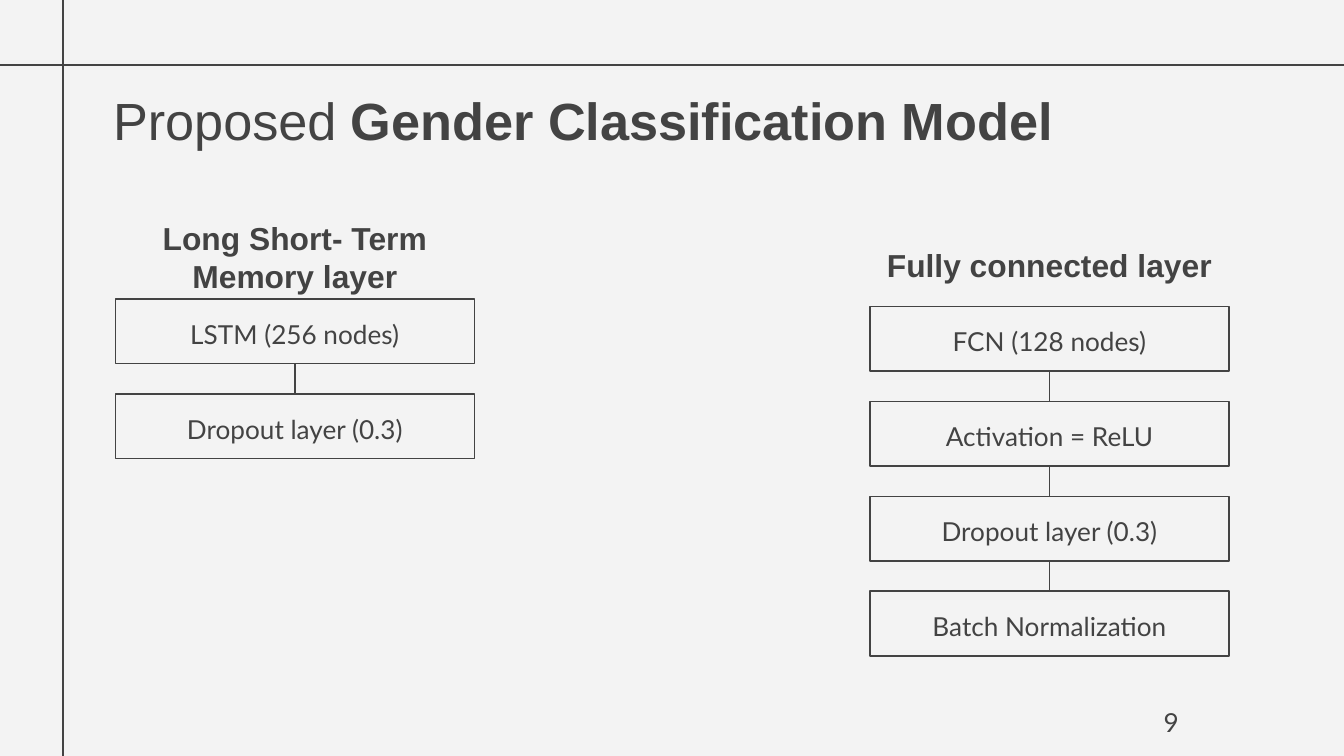
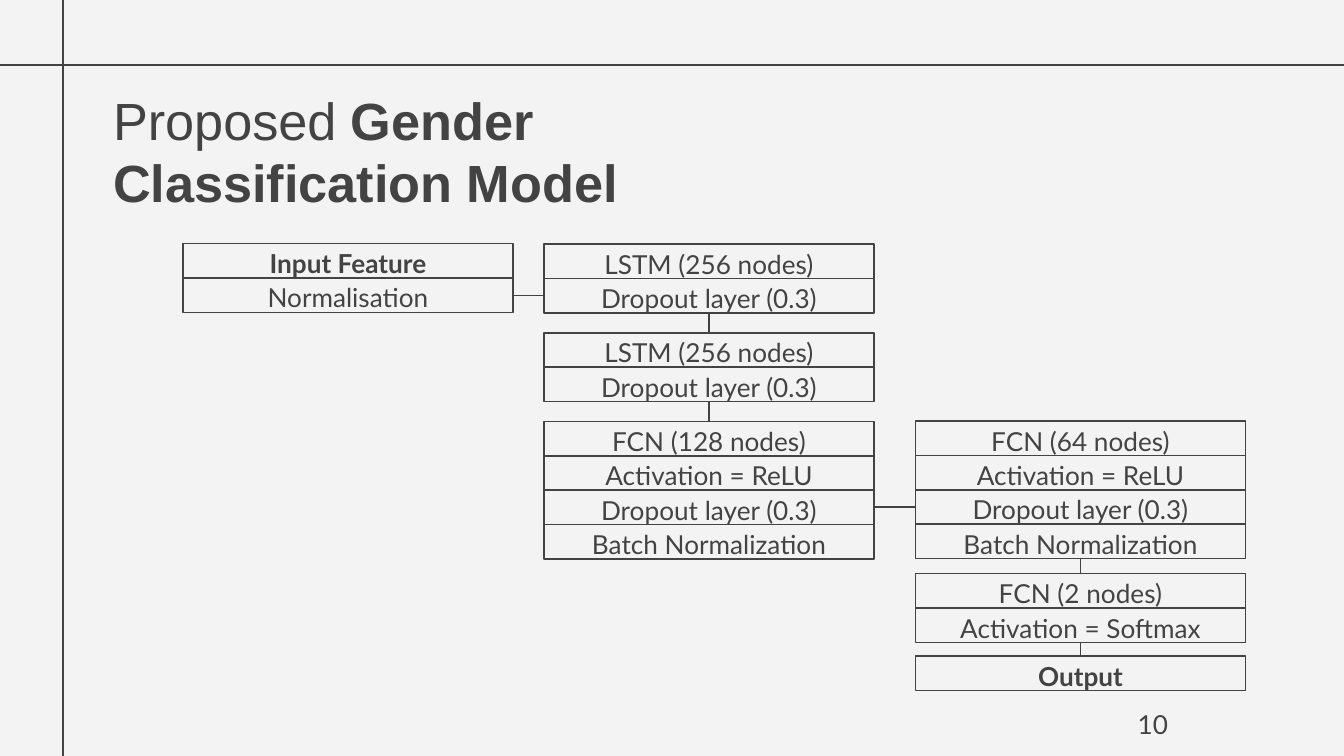
import pptx
import pptx.util
import pptx.dml.color
import pptx.enum.shapes
import pptx.enum.text
import lxml.etree

Pt = pptx.util.Pt
ALIGN = pptx.enum.text.PP_ALIGN
ANCHOR = pptx.enum.text.MSO_ANCHOR
DRAW = "http://schemas.openxmlformats.org/drawingml/2006/main"

COLORS = {"ink": "434343", "wire": "424242", "paper": "F3F3F3"}
STRONG = {"Input Feature", "Output"}


def paint(name):
    return pptx.dml.color.RGBColor.from_string(COLORS[name])


class Deck:
    head = "Arial"
    body = "Lato"
    inset = 7.2
    stroke = 0.75

    def __init__(self, width, height):
        self.deck = pptx.Presentation()
        self.deck.slide_width = Pt(width)
        self.deck.slide_height = Pt(height)
        fill = self.deck.slide_master.background.fill
        fill.solid()
        fill.fore_color.rgb = paint("paper")

    def page(self, width, height):
        self.slide = self.deck.slides.add_slide(self.deck.slide_layouts[6])
        self.line(724, 34.75, -3.5, 34.75, "ink")
        self.line(33.7, 0, 33.7, 407.5, "ink")
        self.title(width, height)

    def line(self, x1, y1, x2, y2, color="wire"):
        wire = self.slide.shapes.add_connector(
            pptx.enum.shapes.MSO_CONNECTOR.STRAIGHT,
            Pt(x1), Pt(y1), Pt(x2), Pt(y2))
        wire.line.color.rgb = paint(color)
        wire.line.width = Pt(self.stroke)
        lxml.etree.SubElement(wire._element.spPr, "{%s}effectLst" % DRAW)

    def letter(self, shape, runs, font, size, align, bold=None, anchor=ANCHOR.TOP):
        frame = shape.text_frame
        frame.word_wrap = True
        frame.vertical_anchor = anchor
        frame.margin_left = frame.margin_right = Pt(self.inset)
        frame.margin_top = frame.margin_bottom = Pt(self.inset)
        para = frame.paragraphs[0]
        para.alignment = align
        para.font.name = font
        para.font.size = Pt(size)
        para.font.bold = bold
        para.font.color.rgb = paint("ink")
        for words in runs:
            para.add_run().text = words
        return para

    def text(self, x, y, w, h, runs, *style, **extra):
        box = self.slide.shapes.add_textbox(Pt(x), Pt(y), Pt(w), Pt(h))
        return self.letter(box, runs, *style, **extra)

    def title(self, width, height):
        para = self.text(53.5, 39.8, width, height,
                         ["Proposed ", "Gender Classification Model"],
                         self.head, 28, ALIGN.LEFT)
        para.runs[1].font.bold = True

    def label(self, x, y, words):
        self.text(x, y, 192.5, 37.4, [words], self.head, 17, ALIGN.CENTER,
                  bold=True, anchor=ANCHOR.MIDDLE)

    def number(self, x, y):
        self.text(x, y, 43.2, 31, [str(8 + len(self.deck.slides))],
                  self.body, 14, ALIGN.RIGHT)

    def box(self, x, y, w, h, words):
        rect = self.slide.shapes.add_shape(
            pptx.enum.shapes.MSO_SHAPE.RECTANGLE, Pt(x), Pt(y), Pt(w), Pt(h))
        rect.shadow.inherit = False
        rect.fill.background()
        rect.line.color.rgb = paint("ink")
        rect.line.width = Pt(self.stroke)
        para = self.letter(rect, [words], self.body, 14, ALIGN.CENTER,
                           bold=words in STRONG, anchor=ANCHOR.MIDDLE)
        para.line_spacing = 1.15

    def chain(self, x, w, h, step, blocks, color="wire"):
        end = None
        for top, names in blocks:
            if end is not None:
                self.line(x + w / 2, end, x + w / 2, top, color)
            for i, words in enumerate(names):
                self.box(x, top + i * step, w, h, words)
            end = top + (len(names) - 1) * step + h

    def save(self):
        self.deck.save("out.pptx")


def layers(deck):
    lstm = ["LSTM (256 nodes)", "Dropout layer (0.3)"]
    dense = ["Activation = ReLU", "Dropout layer (0.3)", "Batch Normalization"]
    wide = ["FCN (128 nodes)"] + dense

    deck.page(624.2, 38)
    stacks = [
        (61.7, 118.8, 160.2, "Long Short- Term Memory layer", lstm),
        (466, 122.9, 164.2, "Fully connected layer", wide),
    ]
    for x, y, top, head, names in stacks:
        deck.label(x, y, head)
        blocks = [(top + i * 50.85, [words]) for i, words in enumerate(names)]
        deck.chain(x, 192.5, 34.7, 0, blocks, "ink")
    deck.number(595.4, 371.5)

    deck.page(348.5, 114.5)
    columns = [
        (98, [(130.5, ["Input Feature", "Normalisation"])]),
        (291.4, [(130.8, lstm), (178.3, lstm), (225.8, wide)]),
        (490.4, [(225.6, ["FCN (64 nodes)"] + dense),
                 (307.4, ["FCN (2 nodes)", "Activation = Softmax"]),
                 (351.5, ["Output"])]),
    ]
    for x, blocks in columns:
        deck.chain(x, 176.9, 18.5, 18.4, blocks)
    deck.line(274.9, 158.3, 291.4, 158.3)
    deck.line(468.3, 271.6, 490.4, 271.6)
    deck.number(589.7, 372.2)


def main():
    deck = Deck(720, 405)
    layers(deck)
    deck.save()


if __name__ == "__main__":
    main()
